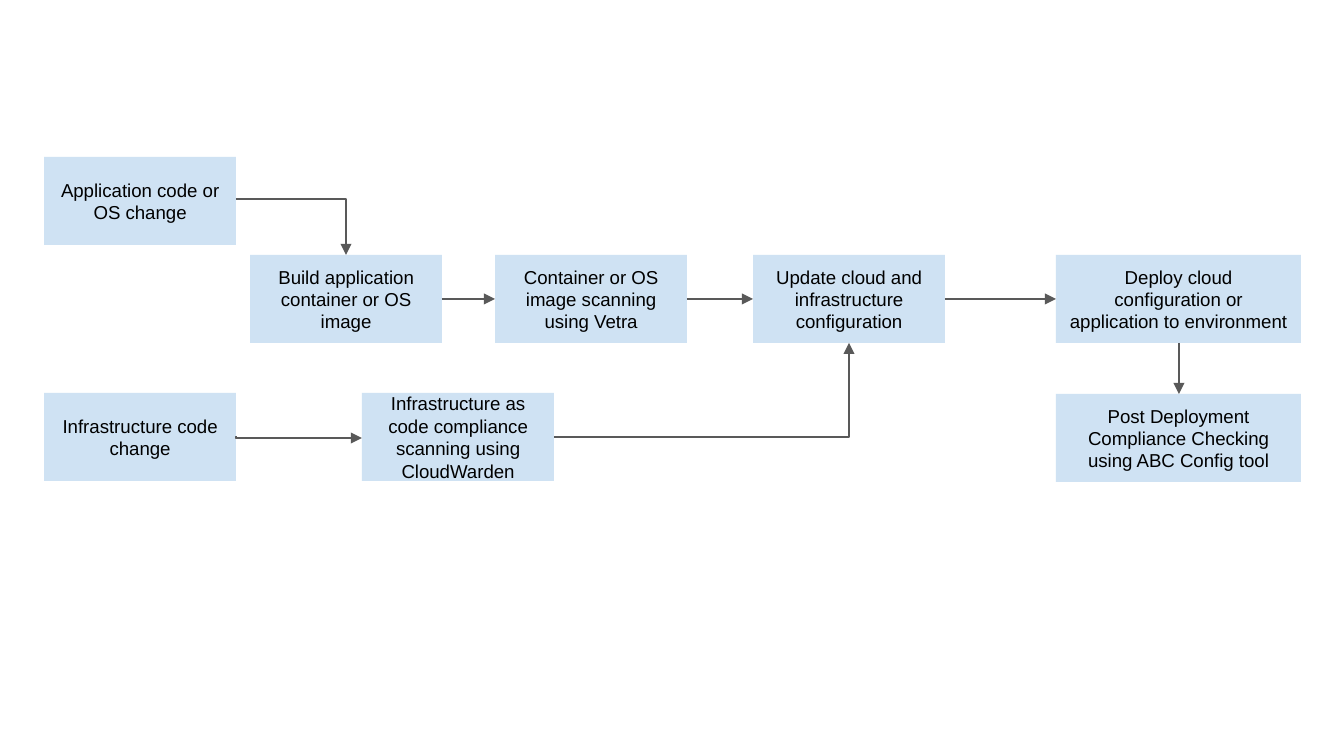
from pptx import Presentation, util as u
from pptx.dml.color import RGBColor
from pptx.enum import shapes, text
from pptx.oxml.ns import qn
from lxml import etree

PX = 914400 / 134.4


def px(n):
    return u.Emu(round(n * PX))


def add_text(sp, words, size=10, font="Arial", color="000000"):
    tf = sp.text_frame
    tf.word_wrap = True
    tf.vertical_anchor = text.MSO_ANCHOR.MIDDLE
    tf.margin_left = tf.margin_right = tf.margin_top = tf.margin_bottom = u.Inches(0.1)
    p = tf.paragraphs[0]
    p.alignment = text.PP_ALIGN.CENTER
    r = p.add_run()
    r.text = words
    r.font.size = u.Pt(size)
    r.font.name = font
    r.font.color.rgb = RGBColor.from_string(color)


prs = Presentation()
prs.slide_width, prs.slide_height = px(1344), px(756)
s = prs.slides.add_slide(prs.slide_layouts[6])

# Process steps: left, top, width, wording
NARROW, WIDE, HEIGHT = 192, 245, 88
steps = [
    (44, 157, NARROW, "Application code or OS change"),
    (250, 255, NARROW, "Build application container or OS image"),
    (495, 255, NARROW, "Container or OS image scanning using Vetra"),
    (753, 255, NARROW, "Update cloud and infrastructure configuration"),
    (1056, 255, WIDE, "Deploy cloud configuration or application to environment"),
    (44, 393, NARROW, "Infrastructure code change"),
    (362, 393, NARROW, "Infrastructure as code compliance scanning using CloudWarden"),
    (1056, 394, WIDE, "Post Deployment Compliance Checking using ABC Config tool"),
]
for x, y, w, words in steps:
    sp = s.shapes.add_shape(shapes.MSO_SHAPE.RECTANGLE, px(x), px(y), px(w), px(HEIGHT))
    sp.shadow.inherit = False
    sp.fill.solid()
    sp.fill.fore_color.rgb = RGBColor.from_string("CFE2F3")
    sp.line.fill.background()
    add_text(sp, words)

# Arrows: start, end, preset geometry
STRAIGHT, CORNER, STEP = "line", "bentConnector2", "bentConnector3"
arrows = [
    (236, 199, 346, 255, CORNER),
    (442, 299, 495, 299, STRAIGHT),
    (687, 299, 753, 299, STRAIGHT),
    (945, 299, 1056, 299, STRAIGHT),
    (236, 437, 362, 438, STEP),
    (554, 437, 849, 343, CORNER),
    (1179, 343, 1179, 394, STRAIGHT),
]
for x1, y1, x2, y2, preset in arrows:
    kind = shapes.MSO_CONNECTOR.STRAIGHT if preset == STRAIGHT else shapes.MSO_CONNECTOR.ELBOW
    c = s.shapes.add_connector(kind, px(x1), px(y1), px(x2), px(y2))
    c.line.width = u.Pt(0.75)
    c.line.color.rgb = RGBColor.from_string("595959")
    etree.SubElement(c.line._get_or_add_ln(), qn("a:tailEnd"), type="triangle")
    pr = c._element.spPr
    etree.SubElement(pr, qn("a:effectLst"))
    geom = pr.find(qn("a:prstGeom"))
    if preset == CORNER:
        geom.set("prst", preset)
    if preset == STEP:
        # The step bends right at its start
        etree.SubElement(geom.find(qn("a:avLst")), qn("a:gd"), name="adj1", fmla="val -300")

prs.save("out.pptx")
